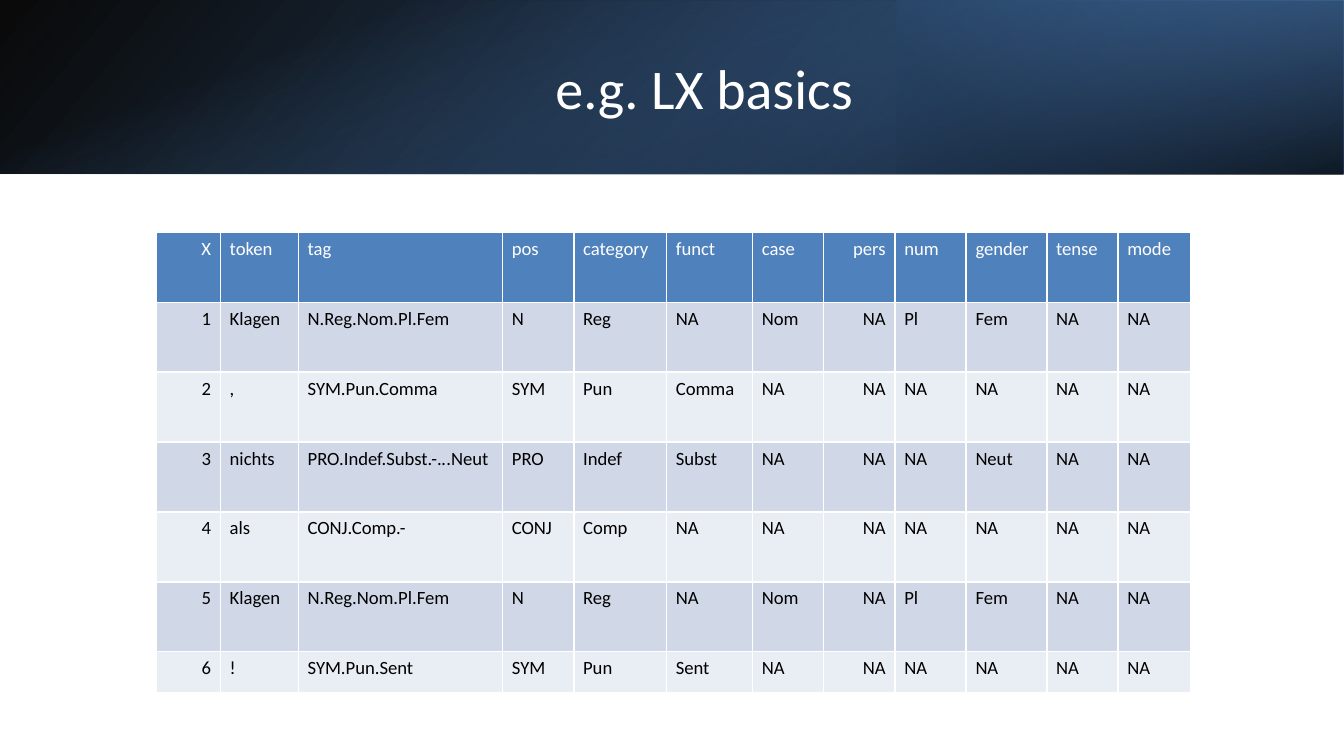
from lxml import etree
from pptx import Presentation
from pptx.dml.color import RGBColor
from pptx.enum import shapes, text
from pptx.oxml import ns
from pptx.util import Inches, Pt

WHITE = RGBColor(0xFF, 0xFF, 0xFF)
BLACK = RGBColor(0, 0, 0)
BLUE = RGBColor(0x4F, 0x81, 0xBD)
MID_BLUE = RGBColor(0x37, 0x60, 0x92)
DARK_BLUE = RGBColor(0x25, 0x40, 0x61)
BANDS = [RGBColor(0xD0, 0xD8, 0xE8), RGBColor(0xE9, 0xED, 0xF4)]
FONT = "Calibri"

# Content
TITLE = "e.g. LX basics"
HEADER = ["X", "token", "tag", "pos", "category", "funct", "case", "pers",
          "num", "gender", "tense", "mode"]
TOKENS = [
    ["1", "Klagen", "N.Reg.Nom.Pl.Fem", "N", "Reg", "NA", "Nom", "NA", "Pl", "Fem", "NA", "NA"],
    ["2", ",", "SYM.Pun.Comma", "SYM", "Pun", "Comma", "NA", "NA", "NA", "NA", "NA", "NA"],
    ["3", "nichts", ("PRO.Indef.Subst.-.", ".", ".Neut"), "PRO", "Indef", "Subst", "NA", "NA",
     "NA", "Neut", "NA", "NA"],
    ["4", "als", "CONJ.Comp.-", "CONJ", "Comp", "NA", "NA", "NA", "NA", "NA", "NA", "NA"],
    ["5", "Klagen", "N.Reg.Nom.Pl.Fem", "N", "Reg", "NA", "Nom", "NA", "Pl", "Fem", "NA", "NA"],
    ["6", "!", "SYM.Pun.Sent", "SYM", "Pun", "Sent", "NA", "NA", "NA", "NA", "NA", "NA"],
]
COLUMN_WIDTHS = [0.48, 0.58, 1.52, 0.53, 0.69, 0.64, 0.53, 0.53, 0.53, 0.6, 0.53, 0.54]
ROW_HEIGHTS = [0.52] * 6 + [0.31]
RIGHT_ALIGNED = {"X", "pers"}

# Banner layers: box, rotation, mirrored, angle, stops (position %, colour, opacity %)
BANNER = [
    ((0, 0, 10, 1.29), 0, True, 140, [(0, BLACK, 96), (100, MID_BLUE, 100)]),
    ((6.67, 0, 3.33, 1.29), 180, False, 140, [(19, DARK_BLUE, 68), (100, BLUE, 79)]),
    ((4.35, -4.35, 1.29, 10), 90, False, 340, [(23, BLUE, 0), (99, BLACK, 74)]),
]


def add_xml(parent, tag, **attributes):
    element = etree.SubElement(parent, ns.qn(tag))
    for name, value in attributes.items():
        element.set(name, str(value))
    return element


def write(frame, words, size=10, color=BLACK, align=text.PP_ALIGN.LEFT):
    """Write a string, or a tuple of runs in which every second one is italic."""
    paragraph = frame.paragraphs[0]
    paragraph.alignment = align
    for i, part in enumerate(words if isinstance(words, tuple) else (words,)):
        run = paragraph.add_run()
        run.text = part
        run.font.name, run.font.size = FONT, Pt(size)
        run.font.color.rgb = color
        run.font.bold = False
        run.font.italic = i % 2 == 1


def add_banner_layer(slide, box, rotation, mirrored, angle, stops):
    layer = slide.shapes.add_shape(shapes.MSO_SHAPE.RECTANGLE, *map(Inches, box))
    layer.shadow.inherit = False
    layer.line.fill.background()
    layer.rotation = rotation
    if mirrored:
        layer._element.spPr.xfrm.set("flipH", "1")
    layer.fill.gradient()
    gradient = layer._element.spPr.find(ns.qn("a:gradFill"))
    for child in list(gradient):
        gradient.remove(child)
    stop_list = add_xml(gradient, "a:gsLst")
    for position, color, opacity in stops:
        stop = add_xml(stop_list, "a:gs", pos=position * 1000)
        add_xml(add_xml(stop, "a:srgbClr", val=color), "a:alpha", val=opacity * 1000)
    add_xml(gradient, "a:lin", ang=angle * 60000, scaled=0)


def format_cell(cell, fill):
    cell.margin_left = cell.margin_right = Inches(0.07)
    cell.margin_top = cell.margin_bottom = Inches(0.04)
    properties = cell._tc.get_or_add_tcPr()
    for side in "LRTB":
        border = add_xml(properties, "a:ln" + side, w=Pt(1))
        add_xml(add_xml(border, "a:solidFill"), "a:srgbClr", val=WHITE)
    cell.fill.solid()
    cell.fill.fore_color.rgb = fill


def main():
    deck = Presentation()
    deck.slide_width = Inches(10)
    deck.slide_height = deck.slide_width * 9 // 16
    slide = deck.slides.add_slide(deck.slide_layouts[6])

    # Banner and title
    for layer in BANNER:
        add_banner_layer(slide, *layer)
    title = slide.shapes.add_textbox(*map(Inches, (1.12, 0.29, 8.24, 0.72))).text_frame
    title.word_wrap = True
    title.vertical_anchor = text.MSO_ANCHOR.MIDDLE
    write(title, TITLE, size=30, color=WHITE, align=text.PP_ALIGN.CENTER)

    # Token table
    rows = [HEADER] + TOKENS
    table = slide.shapes.add_table(
        len(rows), len(HEADER), Inches(1.16), Inches(1.73),
        Inches(sum(COLUMN_WIDTHS)), Inches(sum(ROW_HEIGHTS))).table
    for column, width in zip(table.columns, COLUMN_WIDTHS):
        column.width = Inches(width)
    for r, (row, height) in enumerate(zip(rows, ROW_HEIGHTS)):
        table.rows[r].height = Inches(height)
        is_header = r == 0
        for c, words in enumerate(row):
            cell = table.cell(r, c)
            format_cell(cell, BLUE if is_header else BANDS[(r - 1) % 2])
            write(cell.text_frame, words, color=WHITE if is_header else BLACK,
                  align=text.PP_ALIGN.RIGHT if HEADER[c] in RIGHT_ALIGNED
                  else text.PP_ALIGN.LEFT)

    deck.save("out.pptx")


if __name__ == "__main__":
    main()
